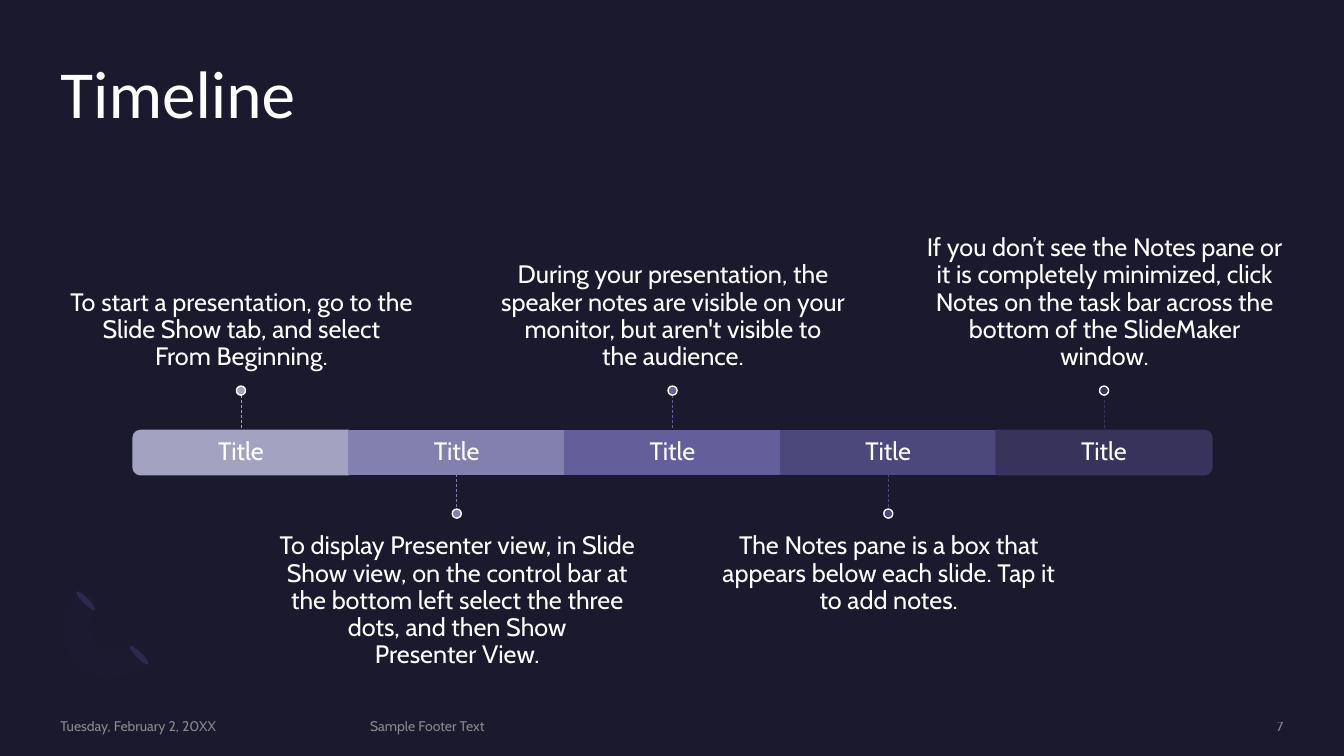
"""Build a dark timeline slide with five titled steps and notes."""
from lxml.etree import SubElement
from pptx import Presentation
from pptx.dml.color import RGBColor
from pptx.enum.dml import MSO_LINE
from pptx.enum.shapes import MSO_CONNECTOR, MSO_SHAPE as Shape
from pptx.enum.text import MSO_ANCHOR as Anchor, PP_ALIGN as Align
from pptx.oxml.ns import qn
from pptx.util import Inches, Pt


def paint(fill, tone, alpha=100):
    fill.solid()
    fill.fore_color.rgb = RGBColor.from_string(tone)
    if alpha < 100:
        node = fill._xPr.find(qn("a:solidFill"))[0]
        SubElement(node, qn("a:alpha"), val=str(alpha * 1000))


def write(text, left, top, width, height, size=18, font="Cabin", tone="FFFFFF",
          alpha=100, align=Align.LEFT, anchor=Anchor.TOP, space=0.9):
    box = slide.shapes.add_textbox(Inches(left), Inches(top), Inches(width), Inches(height))
    frame = box.text_frame
    frame.word_wrap = True
    frame.vertical_anchor = anchor
    frame.margin_left = frame.margin_right = frame.margin_top = frame.margin_bottom = 0
    para = frame.paragraphs[0]
    para.text = text
    para.alignment = align
    para.line_spacing = space
    for run in para.runs:
        run.font.size = Pt(size)
        run.font.name = font
        paint(run.font.fill, tone, alpha)


deck = Presentation()
deck.slide_width, deck.slide_height = Inches(13.33), Inches(7.5)
slide = deck.slides.add_slide(deck.slide_layouts[6])
paint(slide.background.fill, "1B192E")

for left, top in [(1.35, 6.37), (0.82, 5.83)]:
    leaf = slide.shapes.add_shape(Shape.OVAL, Inches(left), Inches(top), Inches(0.06), Inches(0.26))
    leaf.rotation = 135
    leaf.shadow.inherit = False
    paint(leaf.fill, "2C284A")
    leaf.line.fill.background()

curves = [
    [(0.76, 6.59), (0.56, 6.39), (0.58, 6.05), (0.81, 5.82)],
    [(0.99, 6), (0.87, 6.11), (0.86, 6.29), (0.96, 6.38)],
    [(0.96, 6.38), (1.06, 6.48), (1.23, 6.47), (1.35, 6.36)],
    [(1.52, 6.54), (1.3, 6.76), (0.95, 6.79), (0.76, 6.59)],
]
dots = []
for a, b, c, d in curves:
    for step in range(11):
        t = step / 10
        u = 1 - t
        dots.append([Inches(u**3 * a[k] + 3 * u * u * t * b[k] + 3 * u * t * t * c[k] + t**3 * d[k])
                     for k in (0, 1)])
path = slide.shapes.build_freeform(*dots[0])
path.add_line_segments(dots[1:], close=True)
arc = path.convert_to_shape()
arc.shadow.inherit = False
paint(arc.fill, "7771B2", 2)
arc.line.fill.background()

write("Timeline", 0.6, 0.6, 12.13, 1.46, size=48, font="Calibri")

steps = [
    ("A3A3C1", "To start a presentation, go to the Slide Show tab, and select\vFrom Beginning."),
    ("8281AE", "To display Presenter view, in Slide Show view, on the control bar at the bottom left "
               "select the three dots, and then Show\vPresenter View."),
    ("625F9A", "During your presentation, the speaker notes are visible on your monitor, "
               "but aren't visible to\vthe audience."),
    ("4C487B", "The Notes pane is a box that appears below each slide. Tap it to add notes."),
    ("37335B", "If you don’t see the Notes pane or it is completely minimized, click Notes on the "
               "task bar across the bottom of the SlideMaker window."),
]
wide, high, bar_top, dot = 2.14, 0.44, 4.27, 0.09
turns = {0: 270, len(steps) - 1: 90}

for i, (tone, note) in enumerate(steps):
    mid = 2.39 + i * wide
    above = i % 2 == 0
    if i in turns:
        bar = slide.shapes.add_shape(Shape.ROUND_2_SAME_RECTANGLE, Inches(mid - high / 2),
                                     Inches(bar_top + high / 2 - wide / 2), Inches(high), Inches(wide))
        bar.rotation = turns[i]
    else:
        bar = slide.shapes.add_shape(Shape.RECTANGLE, Inches(mid - wide / 2), Inches(bar_top),
                                     Inches(wide), Inches(high))
    write("Title", mid - wide / 2, bar_top, wide, high, align=Align.CENTER, anchor=Anchor.MIDDLE)
    write(note, mid - 1.78, 2.31 if above else 5.29, 3.57, 1.37, align=Align.CENTER,
          anchor=Anchor.BOTTOM if above else Anchor.TOP)

    start = 3.92 if above else 4.7
    stem = slide.shapes.add_connector(MSO_CONNECTOR.STRAIGHT, Inches(mid), Inches(start),
                                      Inches(mid), Inches(start + 0.35))
    SubElement(stem._element.spPr, qn("a:effectLst"))
    paint(stem.line.fill, tone)
    stem.line.width = Pt(0.5)
    stem.line.dash_style = MSO_LINE.DASH

    knob = slide.shapes.add_shape(Shape.OVAL, Inches(mid - dot / 2), Inches(3.83 if above else 5.05),
                                  Inches(dot), Inches(dot))
    for part, edge in [(bar, tone), (knob, "FFFFFF")]:
        part.shadow.inherit = False
        paint(part.fill, tone)
        paint(part.line.fill, edge)
        part.line.width = Pt(1)

for text, left, width, align in [
    ("Tuesday, February 2, 20XX", 0.6, 2.88, Align.LEFT),
    ("Sample Footer Text", 3.67, 6.98, Align.LEFT),
    ("7", 10.88, 1.85, Align.RIGHT),
]:
    write(text, left, 7.12, width, 0.17, size=10, tone="A6A6A6", alpha=80, align=align,
          anchor=Anchor.MIDDLE, space=1)

deck.save("out.pptx")
